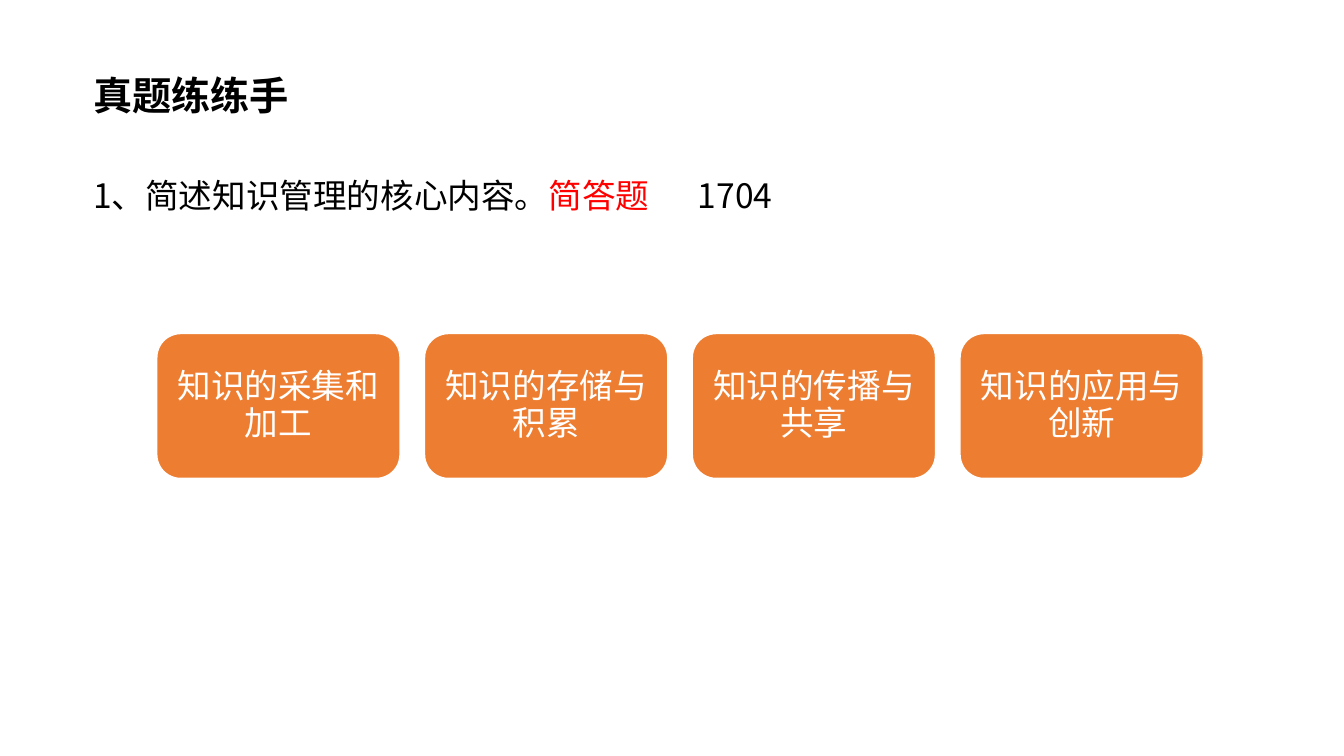
from dataclasses import dataclass

from lxml.etree import SubElement
from pptx import Presentation
from pptx.dml.color import RGBColor
from pptx.enum.shapes import MSO_SHAPE as Shape
from pptx.enum.text import MSO_ANCHOR as Anchor, MSO_AUTO_SIZE as AutoSize, PP_ALIGN as Align
from pptx.oxml.ns import qn
from pptx.util import Pt


@dataclass(frozen=True)
class Theme:
    black: RGBColor = RGBColor(0x00, 0x00, 0x00)
    white: RGBColor = RGBColor(0xFF, 0xFF, 0xFF)
    red: RGBColor = RGBColor(0xFF, 0x00, 0x00)
    orange: RGBColor = RGBColor(0xED, 0x7D, 0x31)
    font: str = "Noto Sans CJK SC"
    card_font: str = "Noto Sans CJK JP"
    title_size: int = 28
    body_size: int = 24


THEME = Theme()
TOPICS = ["知识的采集和加工", "知识的存储与积累", "知识的传播与共享", "知识的应用与创新"]


def format_run(span, size, color, font=THEME.font, bold=False):
    span.font.size = Pt(size)
    span.font.bold = bold
    span.font.color.rgb = color
    span.font.name = font
    SubElement(span.font._element, qn("a:ea"), typeface=font)


def place(shape, left, top, width, height):
    shape.left, shape.top = Pt(left), Pt(top)
    shape.width, shape.height = Pt(width), Pt(height)


def set_frame(frame, inset_x, inset_y, anchor):
    frame.word_wrap = True
    frame.auto_size = AutoSize.NONE
    frame.vertical_anchor = anchor
    frame.margin_left = frame.margin_right = Pt(inset_x)
    frame.margin_top = frame.margin_bottom = Pt(inset_y)


def add_heading(page, left, top, width, height):
    title = page.shapes.title
    place(title, left, top, width, height)
    set_frame(title.text_frame, 8.5, 4.25, Anchor.TOP)
    para = title.text_frame.paragraphs[0]
    para.text = "真题练练手"
    para.alignment = Align.LEFT
    format_run(para.runs[0], THEME.title_size, THEME.black, bold=True)


def add_question(page, left, top, width, height):
    """Fill the body with the question, its type and, at a tab stop, its exam date."""
    body = page.placeholders[1]
    place(body, left, top, width, height)
    set_frame(body.text_frame, 8.5, 4.25, Anchor.TOP)
    para = body.text_frame.paragraphs[0]
    para.line_spacing = 1.5
    para.space_before = Pt(0)
    props = para._p.get_or_add_pPr()
    props.set("marL", "0")
    props.set("indent", "0")
    SubElement(props, qn("a:buNone"))
    tabs = SubElement(props, qn("a:tabLst"))
    SubElement(tabs, qn("a:tab"), pos=str(Pt(420)), algn="l")
    for text, color in [
        ("1、简述知识管理的核心内容。", THEME.black),
        ("简答题", THEME.red),
        ("\t1704", THEME.black),
    ]:
        span = para.add_run()
        span.text = text
        format_run(span, THEME.body_size, color)


def add_card(page, text, left, top, width, height):
    card = page.shapes.add_shape(
        Shape.ROUNDED_RECTANGLE, Pt(left), Pt(top), Pt(width), Pt(height)
    )
    card.shadow.inherit = False
    card.fill.solid()
    card.fill.fore_color.rgb = THEME.orange
    card.line.color.rgb = THEME.white
    card.line.width = Pt(1.5)
    # The rounded corners already inset the text by about 5 points
    set_frame(card.text_frame, 7.2, 7.2, Anchor.MIDDLE)
    para = card.text_frame.paragraphs[0]
    para.text = text
    para.alignment = Align.CENTER
    para.line_spacing = 0.9
    format_run(para.runs[0], THEME.body_size, THEME.white, THEME.card_font)


def add_topic_row(page, left, top, width, height, gap=17):
    card_width = (width - gap * (len(TOPICS) - 1)) / len(TOPICS)
    for index, topic in enumerate(TOPICS):
        add_card(page, topic, left + index * (card_width + gap), top, card_width, height)


def main():
    deck = Presentation()
    deck.slide_width, deck.slide_height = Pt(960), Pt(540)
    page = deck.slides.add_slide(deck.slide_layouts[1])
    add_heading(page, 58, 47, 695, 42.5)
    add_question(page, 58, 106, 824, 397)
    add_topic_row(page, 111.75, 238, 748, 104)
    deck.save("out.pptx")


if __name__ == "__main__":
    main()
